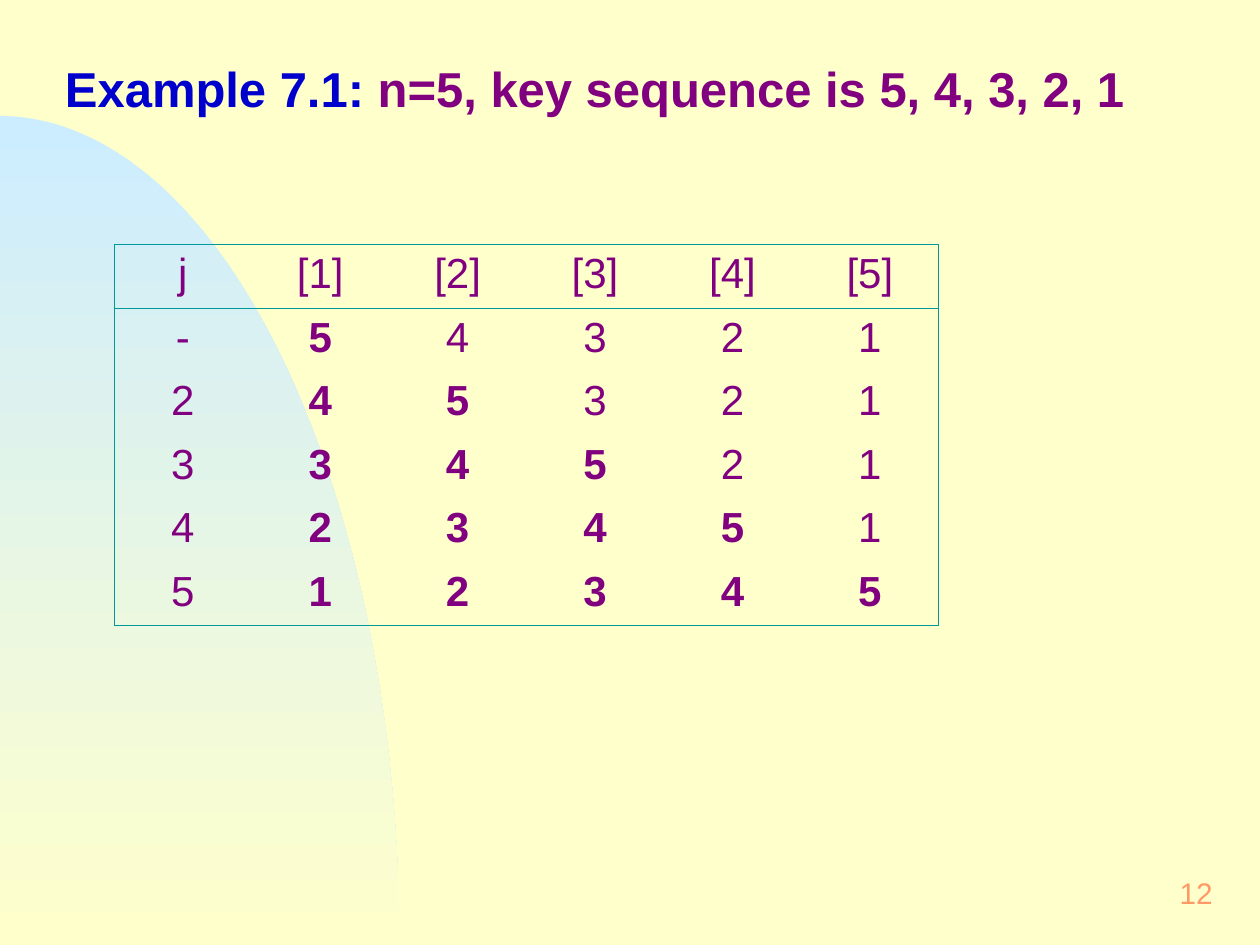
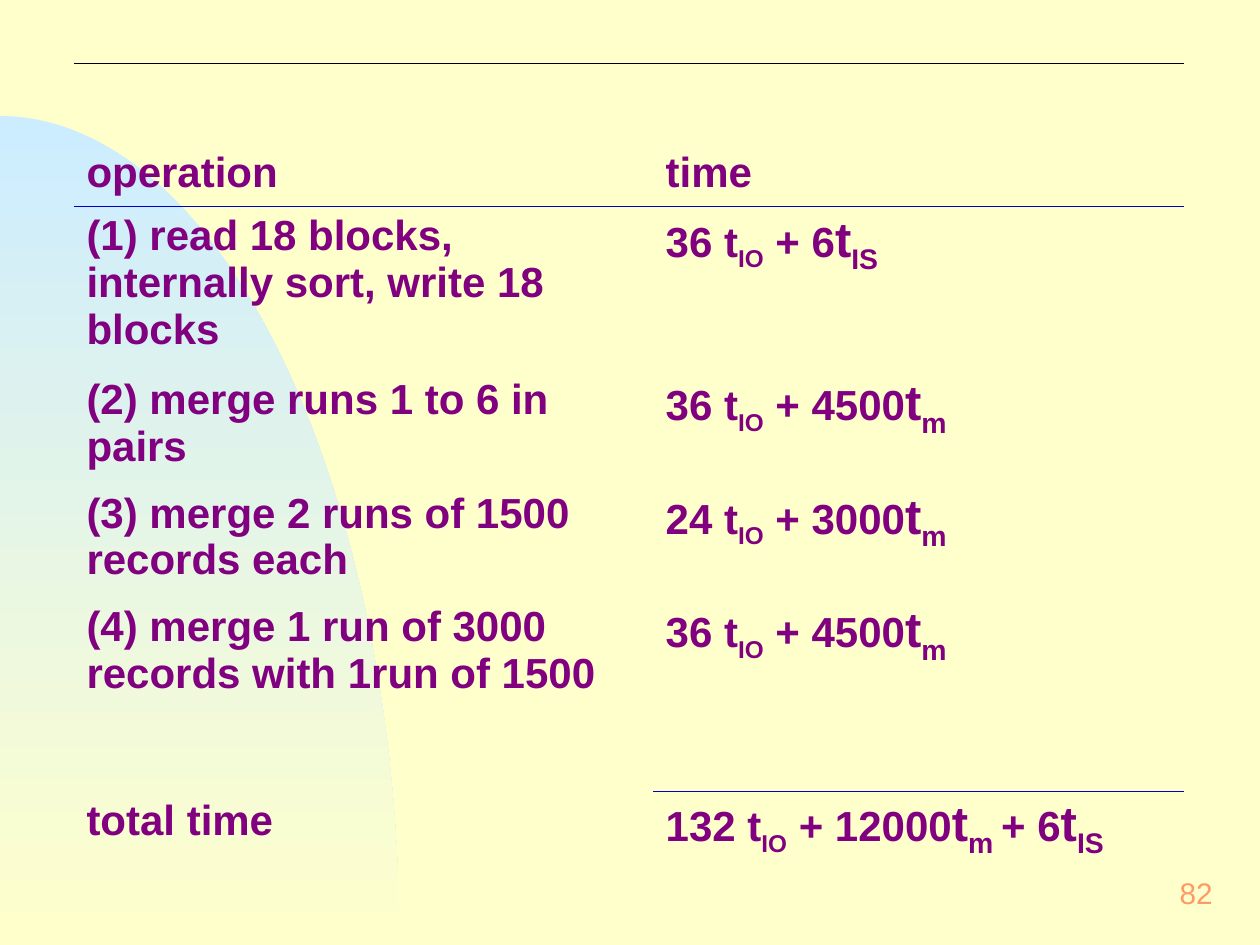
import math

import pptx
import pptx.dml.color
import pptx.enum.text
import pptx.oxml
import pptx.oxml.ns
import pptx.util
from pptx.util import Cm, Pt

SORT_PAGE = {
    "number": "12",
    "title": [("Example 7.1:", "label"), (" n=5, key sequence is 5, 4, 3, 2, 1", "title")],
    "header": ["j", "[1]", "[2]", "[3]", "[4]", "[5]"],
    "passes": ["-54321", "245321", "334521", "423451", "512345"],
}
# Each cost: input/output count, then (count, time subscript) terms.
MERGE_PAGE = {
    "number": "82",
    "header": ("operation", "time"),
    "steps": [
        ("(1) read 18 blocks, internally sort, write 18 blocks", "36", [(" + 6", "IS")]),
        ("(2) merge runs 1 to 6 in pairs", "36", [(" + 4500", "m")]),
        ("(3) merge 2 runs of 1500 records each", "24", [(" + 3000", "m")]),
        ("(4) merge 1 run of 3000 records with 1run of 1500", "36", [(" + 4500", "m")]),
    ],
    "total": ("total time", "132", [(" + 12000", "m "), ("+ 6", "IS")]),
}
MERGE_COLUMNS, TIME_COLUMN = 23, 12


class Theme:
    font = "Arial"
    paper, sky = "FFFFCC", "CCECFF"
    grid, rule, top_rule = "009999", "0000CC", "000000"
    line_width = Pt(0.45)
    blank_size = Pt(10)
    plain_table = "{2D5ABB26-0587-4C30-8999-92F81FD0307C}"
    spans = {
        "label": {"size": Pt(28), "bold": True, "color": "0000CC"},
        "title": {"size": Pt(28), "bold": True, "color": "800080"},
        "number": {"size": Pt(17), "bold": False, "color": "FF9966"},
        "cell": {"size": Pt(24), "bold": False, "color": "800080"},
        "strong": {"size": Pt(24), "bold": True, "color": "800080"},
    }


def rgb(value):
    return pptx.dml.color.RGBColor.from_string(value)


def write(para, spans):
    """Add (text, style) spans; a style ending in "-sub" is a subscript."""
    for text, style in spans:
        span = para.add_run()
        span.text = text
        name, _, sub = style.partition("-")
        span.font.name = Theme.font
        for key, value in Theme.spans[name].items():
            if key == "color":
                span.font.color.rgb = rgb(value)
            else:
                setattr(span.font, key, value)
        if sub:
            span._r.get_or_add_rPr().set("baseline", "-25000")


def add_text(page, place, spans, para_format, frame_format):
    box = page.shapes.add_textbox(*map(Cm, place))
    frame = box.text_frame
    for key, value in {"word_wrap": True, **frame_format}.items():
        setattr(frame, key, value)
    para = frame.paragraphs[0]
    for key, value in para_format.items():
        setattr(para, key, value)
    write(para, spans)


def add_hill(page):
    """Quarter ellipse that fades into the paper at the lower left."""
    width, height, bottom, steps = Cm(8.05), Cm(16.71), Cm(19.05), 90
    angles = [math.pi / 2 * step / steps for step in range(steps + 1)]
    arc = [(round(width * math.sin(a)), round(bottom - height * math.cos(a))) for a in angles]
    outline = page.shapes.build_freeform(0, bottom)
    outline.add_line_segments(arc, close=True)
    hill = outline.convert_to_shape()
    hill.shadow.inherit = False
    hill.line.fill.background()
    hill.fill.gradient()
    hill.fill.gradient_angle = 270
    for stop, color, position in zip(hill.fill.gradient_stops, (Theme.sky, Theme.paper), (0, 1)):
        stop.color.rgb = rgb(color)
        stop.position = position


def add_page(deck, number):
    page = deck.slides.add_slide(deck.slide_layouts[6])
    add_hill(page)
    add_text(page, (19.47, 17.35, 5.28, 1.27), [(number, "number")],
             {"alignment": pptx.enum.text.PP_ALIGN.RIGHT},
             {"vertical_anchor": pptx.enum.text.MSO_ANCHOR.MIDDLE,
              "margin_left": Cm(0.3), "margin_right": Cm(0.3)})
    return page


def add_table(page, left, top, widths, heights):
    frame = page.shapes.add_table(len(heights), len(widths), Cm(left), Cm(top),
                                  Cm(sum(widths)), Cm(sum(heights)))
    table = frame.table
    table.first_row = table.horz_banding = False
    table._tbl.tblPr.find(pptx.oxml.ns.qn("a:tableStyleId")).text = Theme.plain_table
    for column, width in zip(table.columns, widths):
        column.width = Cm(width)
    for row, height in zip(table.rows, heights):
        row.height = Cm(height)
    for cell in table.iter_cells():
        cell.fill.background()
    return table


def set_borders(cell, colors):
    """Draw the sides given as {"L", "R", "T", "B": colour or None}; clear the rest."""
    for index, side in enumerate("LRTB"):
        color = colors.get(side)
        fill = f'<a:solidFill><a:srgbClr val="{color}"/></a:solidFill>' if color else "<a:noFill/>"
        line = pptx.oxml.parse_xml(f'<a:ln{side} {pptx.oxml.ns.nsdecls("a")} '
                                   f'w="{Theme.line_width}">{fill}</a:ln{side}>')
        cell._tc.get_or_add_tcPr().insert(index, line)


def build_sort_page(deck):
    page = add_page(deck, SORT_PAGE["number"])
    add_text(page, (1.06, 0.93, 24.33, 1.57), SORT_PAGE["title"], {"line_spacing": 1.1}, {})
    rows = [SORT_PAGE["header"], *SORT_PAGE["passes"]]
    last_row, last_column = len(rows) - 1, len(rows[0]) - 1
    table = add_table(page, 2.3, 4.93, [2.77] * len(rows[0]), [1.28] * len(rows))
    for r, row in enumerate(rows):
        for c, text in enumerate(row):
            cell = table.cell(r, c)
            para = cell.text_frame.paragraphs[0]
            para.alignment = pptx.enum.text.PP_ALIGN.CENTER
            is_sorted = 1 <= c <= r
            write(para, [(text, "strong" if is_sorted else "cell")])
            edges = {"L": c == 0, "R": c == last_column, "T": r <= 1, "B": r in (0, last_row)}
            set_borders(cell, {side: Theme.grid for side, drawn in edges.items() if drawn})


def cost_spans(blocks, terms):
    spans = [(f"{blocks} t", "strong"), ("IO", "strong-sub")]
    for count, unit in terms:
        spans += [(count, "strong"), ("t", "title"), (unit, "title-sub")]
    return spans


def build_merge_page(deck):
    page = add_page(deck, MERGE_PAGE["number"])
    lines = [[[(text, "strong")] for text in MERGE_PAGE["header"]]]
    lines += [[[(name, "strong")], cost_spans(blocks, terms)]
              for name, blocks, terms in [*MERGE_PAGE["steps"], MERGE_PAGE["total"]]]
    rows = [None, *lines[:-1], None, lines[-1], None]
    heights = [1.62, 1.27, 3.3, 2.28, 2.28, 2.28, 1.62, 1.6, 0.76]
    table = add_table(page, 1.49, 1.27, [22.4 / MERGE_COLUMNS] * MERGE_COLUMNS, heights)
    total_row, last_column = len(rows) - 2, MERGE_COLUMNS - 1

    def rule_above(r, c):
        if r == 0:
            return Theme.top_rule
        if r == 2 or (r == total_row and c >= TIME_COLUMN):
            return Theme.rule
        return None

    for r in range(len(rows)):
        for c in range(MERGE_COLUMNS):
            cell = table.cell(r, c)
            cell.text_frame.paragraphs[0].font.size = Theme.blank_size
            set_borders(cell, {"T": rule_above(r, c), "B": rule_above(r + 1, c)})
    for c in range(0, MERGE_COLUMNS, 4):
        table.cell(0, c).merge(table.cell(0, c + 2))
    for r, row in enumerate(rows):
        if row:
            for spans, first, last in zip(row, (0, TIME_COLUMN), (TIME_COLUMN - 1, last_column)):
                table.cell(r, first).merge(table.cell(r, last))
                write(table.cell(r, first).text_frame.paragraphs[0], spans)


def main():
    deck = pptx.Presentation()
    deck.slide_width, deck.slide_height = Cm(25.4), Cm(19.05)
    background = deck.slide_master.background.fill
    background.solid()
    background.fore_color.rgb = rgb(Theme.paper)
    build_sort_page(deck)
    build_merge_page(deck)
    deck.save("out.pptx")


if __name__ == "__main__":
    main()
